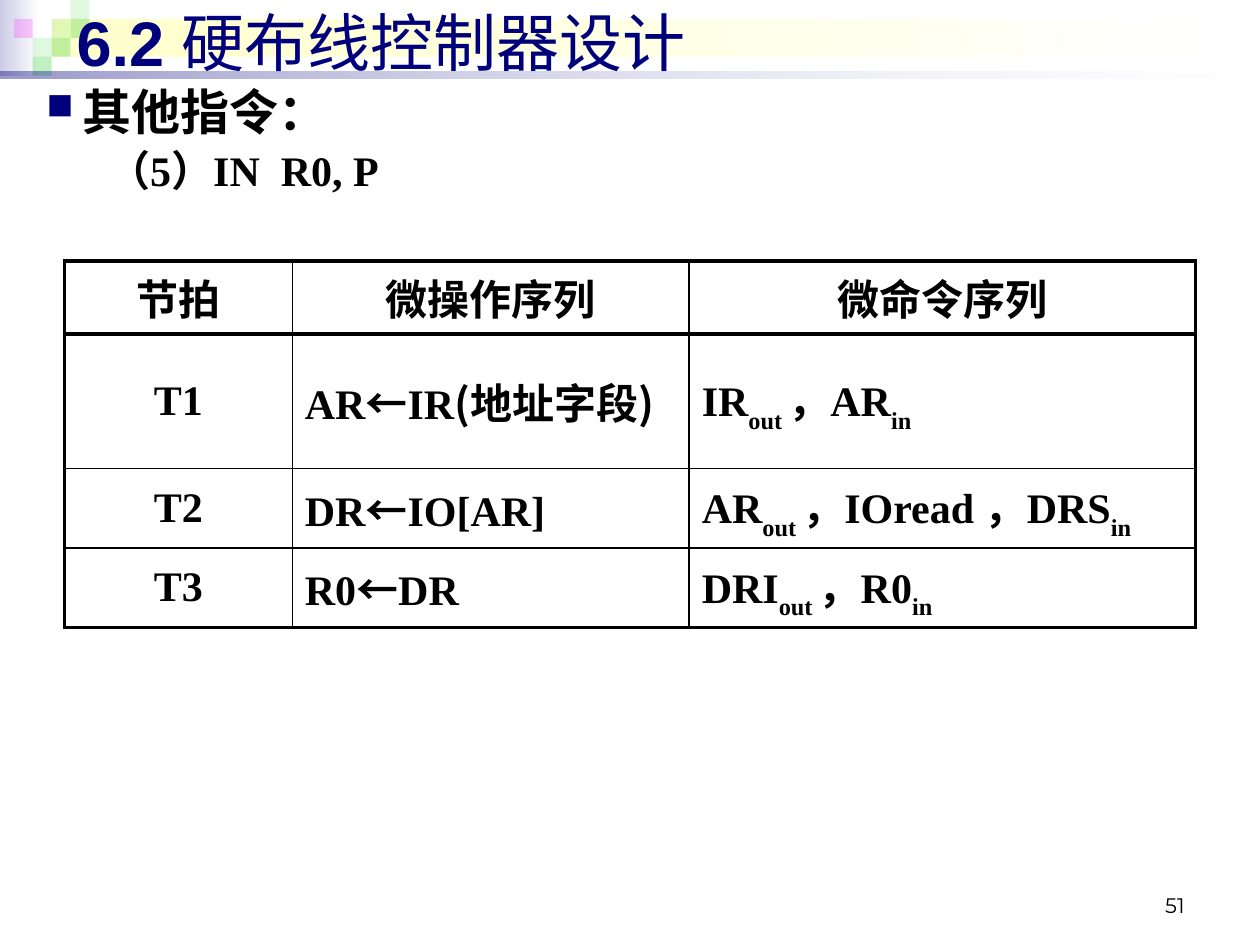
from lxml import etree
from pptx import Presentation
from pptx.dml.color import RGBColor
from pptx.enum import shapes, text
from pptx.oxml import ns
from pptx.util import Inches, Pt

COLORS = {
    "navy": "00007D",
    "lavender": "CCCCE6",
    "cream": "FFFFCC",
    "green": "33CC33",
    "magenta": "FF00FF",
    "white": "FFFFFF",
    "black": "000000",
}
SERIF = "Times New Roman"
CJK = "Noto Sans CJK SC"
LEFT, CENTER, RIGHT = text.PP_ALIGN.LEFT, text.PP_ALIGN.CENTER, text.PP_ALIGN.RIGHT
TOP, MIDDLE, BOTTOM = text.MSO_ANCHOR.TOP, text.MSO_ANCHOR.MIDDLE, text.MSO_ANCHOR.BOTTOM


def add_xml(parent, tag, **attributes):
    return etree.SubElement(parent, ns.qn(tag), **attributes)


class SlideBuilder:
    def __init__(self, presentation):
        self.slide = presentation.slides.add_slide(presentation.slide_layouts[6])

    def rgb(self, name):
        return RGBColor.from_string(COLORS[name])

    def set_opacity(self, shape, percents):
        for color, percent in zip(shape._element.spPr.iter(ns.qn("a:srgbClr")), percents):
            add_xml(color, "a:alpha", val=str(percent * 1000))

    def rectangle(self, left, top, width, height):
        shape = self.slide.shapes.add_shape(
            shapes.MSO_SHAPE.RECTANGLE, Inches(left), Inches(top), Inches(width), Inches(height))
        shape.shadow.inherit = False
        shape.line.fill.background()
        return shape

    def square(self, left, top, size, color, opacity):
        shape = self.rectangle(left, top, size, size)
        shape.fill.solid()
        shape.fill.fore_color.rgb = self.rgb(color)
        self.set_opacity(shape, [opacity])

    def gradient(self, left, top, width, height, start, opacities=()):
        shape = self.rectangle(left, top, width, height)
        shape.fill.gradient()
        shape.fill.gradient_angle = 0
        for stop, color in zip(shape.fill.gradient_stops, (start, "white")):
            stop.color.rgb = self.rgb(color)
        self.set_opacity(shape, opacities)

    def run(self, paragraph, content, size, font=SERIF, color="black", bold=True, baseline=0):
        run = paragraph.add_run()
        run.text = content
        run.font.size = Pt(size)
        run.font.name = font
        run.font.bold = bold
        run.font.color.rgb = self.rgb(color)
        properties = run._r.get_or_add_rPr()
        add_xml(properties, "a:ea", typeface=CJK)
        if baseline:
            properties.set("baseline", str(baseline * 1000))

    def text_box(self, left, top, width, height, anchor=TOP, align=LEFT):
        box = self.slide.shapes.add_textbox(
            Inches(left), Inches(top), Inches(width), Inches(height))
        frame = box.text_frame
        frame.word_wrap = True
        frame.vertical_anchor = anchor
        frame.paragraphs[0].alignment = align
        return frame

    def indent(self, paragraph, margin, hanging, space, bullet=None):
        paragraph.space_before = Pt(space)
        properties = paragraph._p.get_or_add_pPr()
        properties.set("marL", str(Inches(margin)))
        properties.set("indent", str(Inches(-hanging)))
        if bullet:
            color = add_xml(properties, "a:buClr")
            add_xml(color, "a:srgbClr", val=COLORS["navy"])
            add_xml(properties, "a:buSzPct", val="75000")
            add_xml(properties, "a:buChar", char=bullet)
        else:
            add_xml(properties, "a:buNone")

    def borders(self, cell, widths):
        cell.fill.background()
        properties = cell._tc.get_or_add_tcPr()
        for index, (side, width) in enumerate(zip("LRTB", widths)):
            line = etree.Element(ns.qn(f"a:ln{side}"), w=str(Pt(width)))
            fill = add_xml(line, "a:solidFill")
            add_xml(fill, "a:srgbClr", val=COLORS["black"])
            properties.insert(index, line)

    def table(self, left, top, columns, heights, rows):
        table = self.slide.shapes.add_table(
            len(rows), len(columns), Inches(left), Inches(top),
            Inches(sum(columns)), Inches(sum(heights))).table
        table.first_row = False
        table.horz_banding = False
        for column, width in zip(table.columns, columns):
            column.width = Inches(width)
        for row, height in zip(table.rows, heights):
            row.height = Inches(height)
        vertical = [2.25] + [1] * (len(columns) - 1) + [2.25]
        horizontal = [2.25, 2.25] + [0.75] * (len(rows) - 2) + [2.25]
        for i, row in enumerate(rows):
            for j, runs in enumerate(row):
                cell = table.cell(i, j)
                cell.vertical_anchor = MIDDLE
                paragraph = cell.text_frame.paragraphs[0]
                paragraph.alignment = CENTER if i == 0 or j == 0 else LEFT
                for content, style in runs:
                    self.run(paragraph, content, 24, **style)
                self.borders(cell, vertical[j:j + 2] + horizontal[i:i + 2])


def plain(content):
    return content, {}


def symbol(content):
    return content, {"font": CJK}


def subscript(content):
    return content, {"baseline": -30}


def main():
    presentation = Presentation()
    presentation.slide_width = Inches(10)
    presentation.slide_height = Inches(7.5)
    builder = SlideBuilder(presentation)

    builder.gradient(0, 0, 0.31, 0.6, "lavender")
    builder.gradient(0.41, 0.15, 9.55, 0.3, "cream")
    cell = 0.15
    for column, row, color, opacity in (
        (2, 1, "green", 15), (3, 0, "green", 15), (3, 1, "green", 30), (1, 2, "green", 15),
        (0, 1, "magenta", 20), (2, 2, "green", 30), (1, 3, "green", 30),
    ):
        builder.square(0.11 + column * cell, row * cell, cell, color, opacity)
    builder.gradient(0, 0.57, 10, 0.05, "navy", (40, 10))

    number = builder.text_box(7.17, 6.83, 2.33, 0.5, BOTTOM, RIGHT)
    builder.run(number.paragraphs[0], "51", 12, "Montserrat", bold=False)

    title = builder.text_box(0.51, -0.03, 9.37, 0.71, MIDDLE).paragraphs[0]
    builder.run(title, "6.2 ", 36, "Arial", "navy")
    builder.run(title, "硬布线控制器设计", 36, "Arial", "navy", bold=False)

    body = builder.text_box(0.27, 0.6, 9.61, 1.02)
    heading = body.paragraphs[0]
    builder.indent(heading, 0.29, 0.29, 2.8, "■")
    builder.run(heading, "其他指令：", 28)
    instruction = body.add_paragraph()
    builder.indent(instruction, 0.79, 0.3, 2.4)
    builder.run(instruction, "（5）IN  R0, P", 24)

    arrow = symbol("←")
    out, into = subscript("out "), subscript("in")
    rows = [
        [[plain("节拍")], [plain("微操作序列")], [plain("微命令序列")]],
        [[plain("T1")],
         [plain("AR"), arrow, plain("IR"), symbol("("), plain("地址字段"), symbol(")")],
         [plain("IR"), out, plain("，AR"), into]],
        [[plain("T2")], [plain("DR"), arrow, plain("IO[AR]")],
         [plain("AR"), out, plain("，IOread ，DRS"), into]],
        [[plain("T3")], [plain("R0"), arrow, plain("DR")],
         [plain("DRI"), out, plain("，R0"), into]],
    ]
    builder.table(0.51, 2.07, (1.81, 3.15, 4.02), (0.58, 1.07, 0.63, 0.63), rows)

    presentation.save("out.pptx")


if __name__ == "__main__":
    main()
